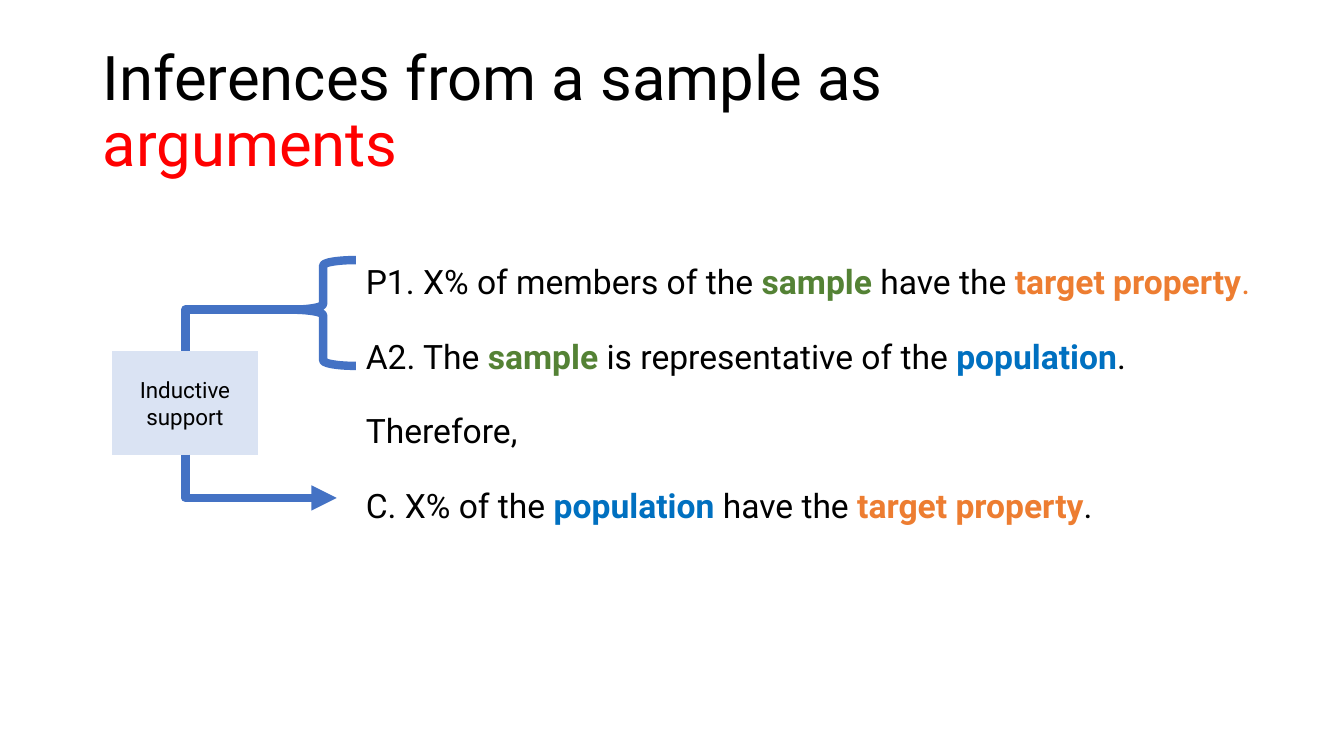
from dataclasses import dataclass

from lxml import etree
from pptx import Presentation
from pptx.dml.color import RGBColor
from pptx.enum.shapes import MSO_CONNECTOR, MSO_SHAPE
from pptx.enum.text import MSO_ANCHOR, MSO_AUTO_SIZE, PP_ALIGN
from pptx.oxml.ns import qn
from pptx.util import Inches, Pt

ELBOW = MSO_CONNECTOR.ELBOW
PROCESS, BRACE = MSO_SHAPE.FLOWCHART_PROCESS, MSO_SHAPE.LEFT_BRACE
TOP, MIDDLE = MSO_ANCHOR.TOP, MSO_ANCHOR.MIDDLE
LEFT, CENTER = PP_ALIGN.LEFT, PP_ALIGN.CENTER
TITLE_ONLY = 5


@dataclass(frozen=True)
class Theme:
    font: str = "Roboto"
    text: str = "000000"
    highlight: str = "FF0000"
    sample: str = "548235"
    population: str = "0070C0"
    target: str = "ED7D31"
    line: str = "4472C4"
    box: str = "DAE3F3"
    title_size: int = 44
    body_size: int = 24
    label_size: int = 16
    line_width: int = 6


THEME = Theme()
SAMPLE = ("sample", THEME.sample, True)
POPULATION = ("population", THEME.population, True)
TARGET = ("target property", THEME.target, True)

TITLE = [["Inferences from a sample as ", ("arguments", THEME.highlight, False)]]
ARGUMENT = [
    ["P1. X% of members of the ", SAMPLE, " have the ", TARGET,
     (".", THEME.target, False)],
    ["A2. The ", SAMPLE, " is representative of the ", POPULATION, "."],
    ["Therefore,"],
    ["C. X% of the ", POPULATION, " have the ", TARGET, "."],
]


def set_format(obj, values):
    for name, value in values.items():
        setattr(obj, name, value)


def place(sp, box):
    names = ("left", "top", "width", "height")
    set_format(sp, dict(zip(names, map(Inches, box))))


def write(sp, paragraphs, size, anchor=TOP, **paragraph_format):
    """Fill a shape with paragraphs of runs: plain text or (text, colour, bold)."""
    tf = sp.text_frame
    set_format(tf, {"word_wrap": True, "auto_size": MSO_AUTO_SIZE.NONE,
                    "vertical_anchor": anchor})
    for i, runs in enumerate(paragraphs):
        p = tf.add_paragraph() if i else tf.paragraphs[0]
        set_format(p, paragraph_format)
        for run in runs:
            text, color, bold = (run, THEME.text, False) if isinstance(run, str) else run
            r = p.add_run()
            r.text = text
            set_format(r.font, {"name": THEME.font, "size": Pt(size), "bold": bold})
            r.font.color.rgb = RGBColor.from_string(color)


def style_line(shape):
    shape.line.color.rgb = RGBColor.from_string(THEME.line)
    shape.line.width = Pt(THEME.line_width)


def add_title(s):
    place(s.shapes.title, (0.92, 0.4, 10.99, 1.45))
    write(s.shapes.title, TITLE, THEME.title_size, MIDDLE,
          alignment=LEFT, line_spacing=0.9)


def add_argument(s):
    sp = s.shapes.add_textbox(*map(Inches, (3.53, 2.34, 9.16, 3.15)))
    write(sp, ARGUMENT, THEME.body_size, alignment=LEFT,
          line_spacing=1.5, space_before=Pt(10))


def add_label(s, box, text):
    sp = s.shapes.add_shape(PROCESS, *map(Inches, box))
    sp.shadow.inherit = False
    sp.fill.solid()
    sp.fill.fore_color.rgb = RGBColor.from_string(THEME.box)
    sp.line.fill.background()
    write(sp, [[text]], THEME.label_size, MIDDLE, alignment=CENTER)


def add_brace(s, box):
    sp = s.shapes.add_shape(BRACE, *map(Inches, box))
    sp.shadow.inherit = False
    sp.fill.background()
    sp.adjustments[0], sp.adjustments[1] = 0.083, 0.469
    style_line(sp)


def add_elbow(s, x1, y1, x2, y2, arrow=False):
    """Draw one bend from (x1, y1), vertical first, then right to (x2, y2)."""
    cx, cy = (x1 + x2) / 2, (y1 + y2) / 2
    half_w, half_h = abs(y2 - y1) / 2, (x2 - x1) / 2
    down = y2 > y1
    if not down:
        half_h = -half_h
    # The unrotated frame is mirrored, then turned a quarter about its centre.
    c = s.shapes.add_connector(ELBOW, *map(Inches, (
        cx + half_w, cy - half_h, cx - half_w, cy + half_h)))
    style_line(c)
    sp_pr = c._element.spPr
    sp_pr.find(qn("a:xfrm")).set("rot", str((270 if down else 90) * 60000))
    sp_pr.find(qn("a:prstGeom")).set("prst", "bentConnector2")
    if arrow:
        etree.SubElement(sp_pr.find(qn("a:ln")), qn("a:tailEnd"), type="triangle")
    etree.SubElement(sp_pr, qn("a:effectLst"))


def main():
    prs = Presentation()
    prs.slide_width, prs.slide_height = Inches(13.33), Inches(7.5)
    s = prs.slides.add_slide(prs.slide_layouts[TITLE_ONLY])
    add_title(s)
    add_argument(s)
    add_label(s, (1.11, 3.48, 1.45, 1.03), "Inductive support")
    add_elbow(s, 1.84, 4.51, 3.34, 4.94, arrow=True)
    add_elbow(s, 1.84, 3.48, 3.04, 3.07)
    add_brace(s, (2.88, 2.58, 0.65, 1.05))
    prs.save("out.pptx")


if __name__ == "__main__":
    main()
